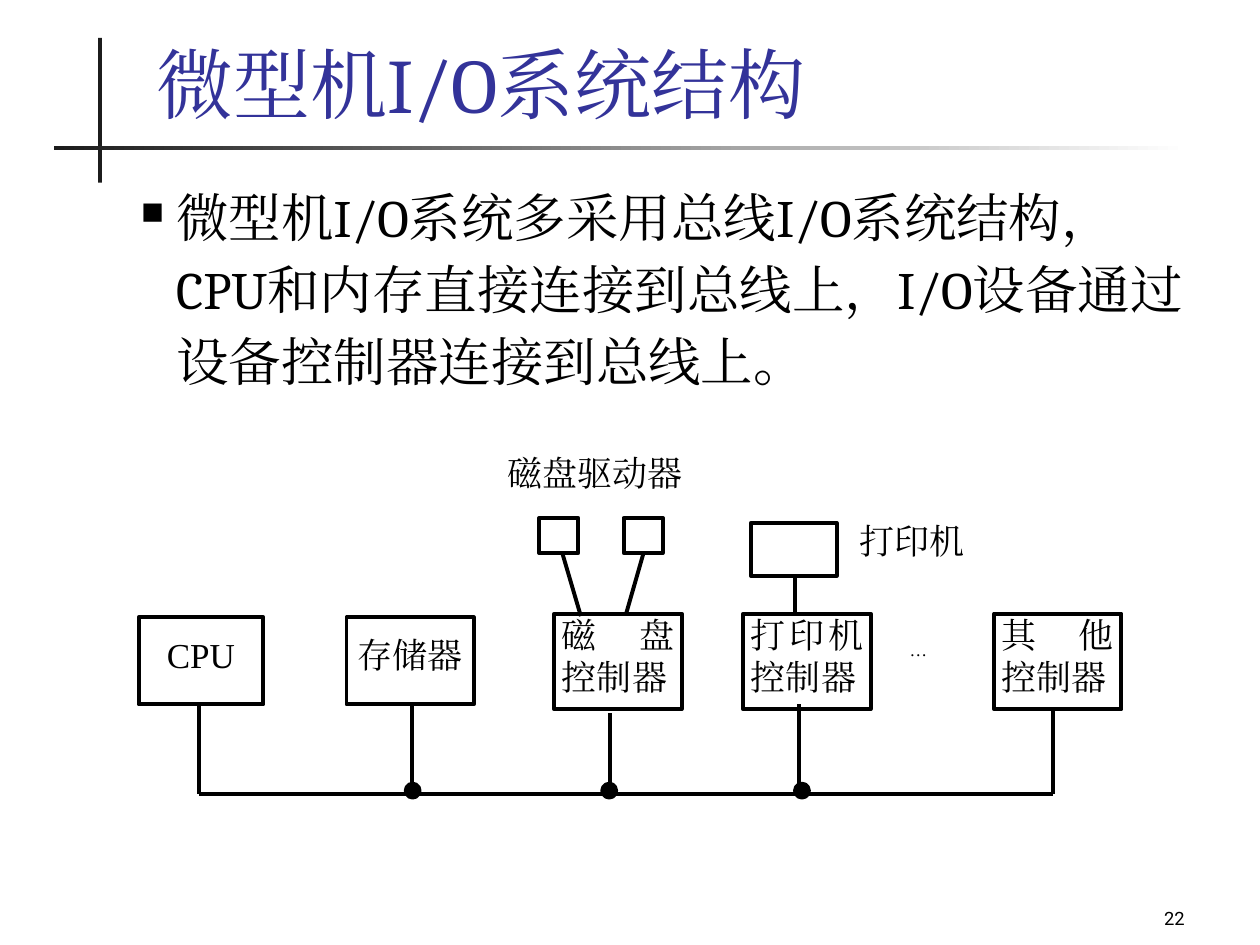
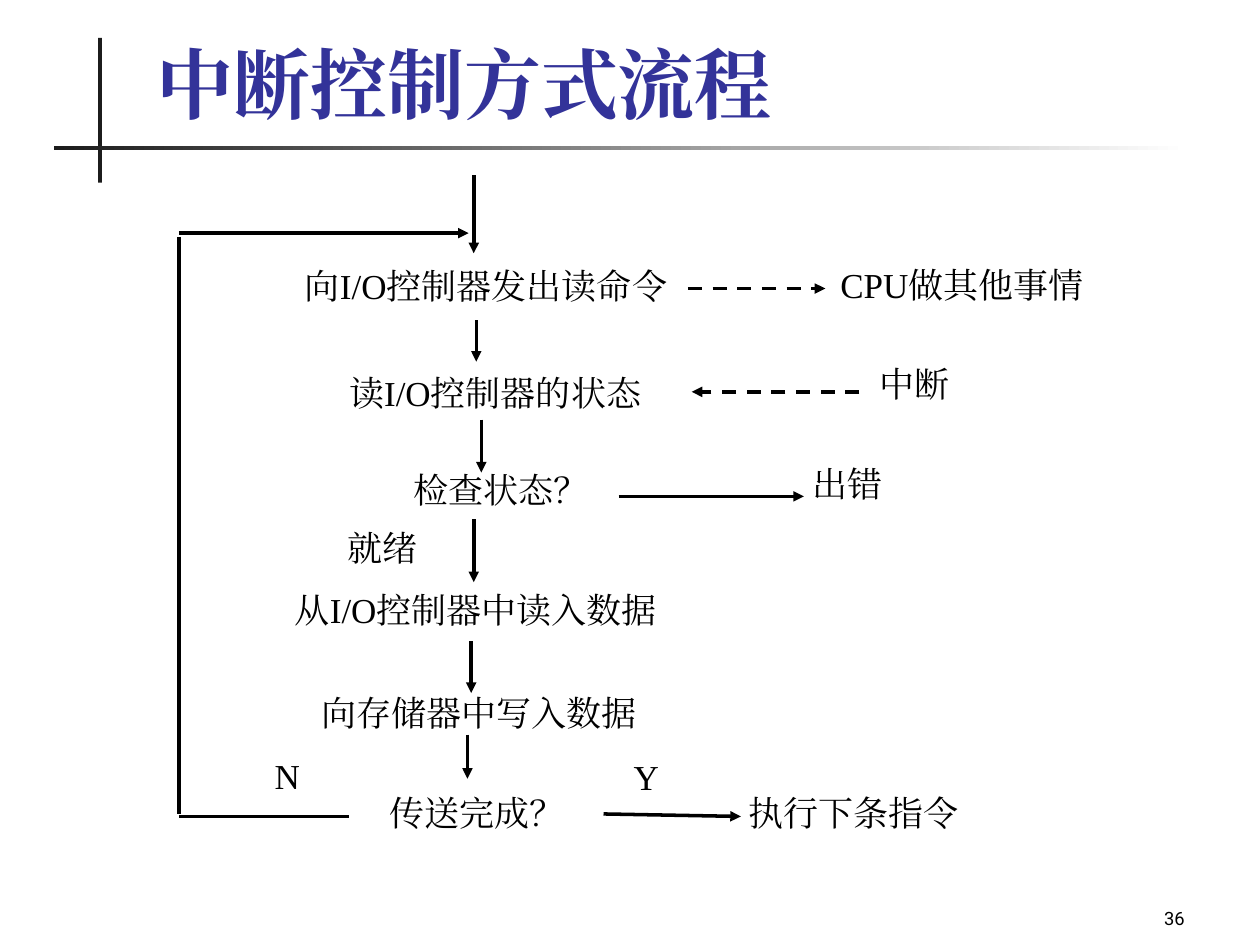
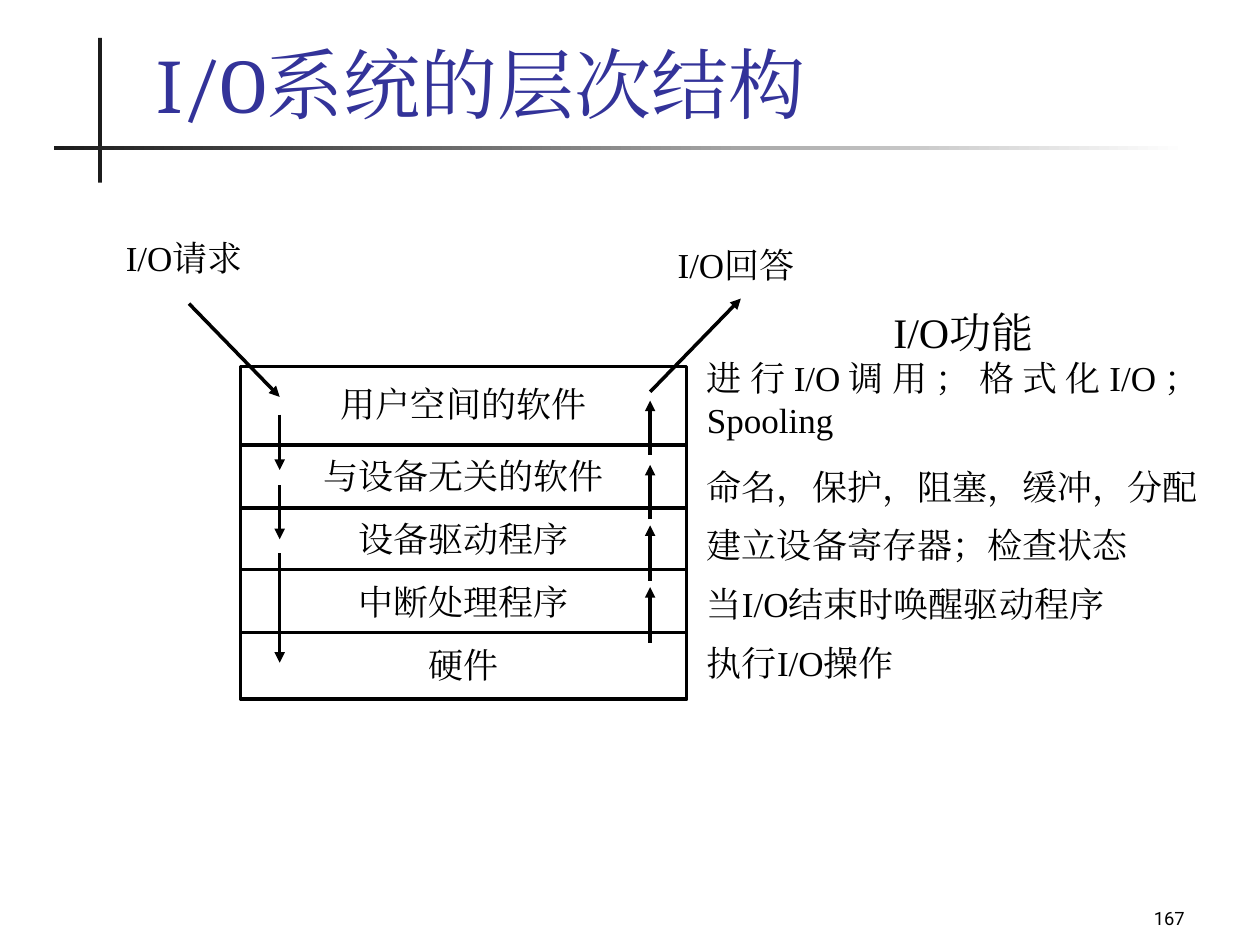
from lxml.etree import SubElement
from pptx import Presentation
from pptx.dml.color import RGBColor
from pptx.enum.dml import MSO_LINE
from pptx.enum.shapes import MSO_CONNECTOR, MSO_SHAPE
from pptx.enum.text import MSO_ANCHOR, PP_ALIGN
from pptx.oxml.ns import qn
from pptx.util import Inches, Pt

BLACK = RGBColor(0x00, 0x00, 0x00)
WHITE = RGBColor(0xFF, 0xFF, 0xFF)
RULE_GRAY = RGBColor(0x1C, 0x1C, 0x1C)
TITLE_BLUE = RGBColor(0x33, 0x33, 0x99)
TITLE_FONT = "Cambria"
NUMBER_FONT = "Roboto"
DIAGRAM_FONT = "Times New Roman"
NO_INSETS = (0, 0, 0, 0)


def add_text(page, text, at, size=20, font=DIAGRAM_FONT, color=BLACK, bold=False,
             align=PP_ALIGN.JUSTIFY, anchor=MSO_ANCHOR.TOP, insets=NO_INSETS,
             outline=None, gaps=(), indents=(), sizes=(), bullet=None, line_spacing=None):
    """Each line of text is a paragraph; gaps, indents and sizes hold one value per paragraph.

    With an outline width the box becomes a white rectangle.
    """
    place = [Inches(length) for length in at]
    if outline:
        box = page.shapes.add_shape(MSO_SHAPE.RECTANGLE, *place)
        box.shadow.inherit = False
        box.fill.solid()
        box.fill.fore_color.rgb = WHITE
        box.line.color.rgb = BLACK
        box.line.width = Pt(outline)
    else:
        box = page.shapes.add_textbox(*place)
    frame = box.text_frame
    frame.word_wrap = True
    frame.vertical_anchor = anchor
    (frame.margin_left, frame.margin_top,
     frame.margin_right, frame.margin_bottom) = [Inches(inset) for inset in insets]
    frame.text = text
    for index, para in enumerate(frame.paragraphs):
        para.alignment = align
        if line_spacing:
            para.line_spacing = line_spacing
        if gaps and gaps[index]:
            para.space_before = Pt(gaps[index])
        properties = para._p.get_or_add_pPr()
        if indents:
            properties.set("marL", str(Inches(indents[index])))
        if bullet:
            properties.set("indent", str(-Inches(indents[index])))
            SubElement(properties, qn("a:buSzPct"), val="60000")
            SubElement(properties, qn("a:buChar"), char=bullet)
        for span in para.runs:
            span.font.size = Pt(sizes[index] if sizes else size)
            span.font.name = font
            span.font.bold = bold
            span.font.color.rgb = color
            SubElement(span._r.get_or_add_rPr(), qn("a:ea"), typeface=font)
    return box


def add_line(page, start, end, width=2, arrow=False, dashed=False):
    line = page.shapes.add_connector(
        MSO_CONNECTOR.STRAIGHT, *[Inches(length) for length in (*start, *end)])
    line.line.color.rgb = BLACK
    line.line.width = Pt(width)
    if dashed:
        line.line.dash_style = MSO_LINE.DASH
    if arrow:
        SubElement(line.line._get_or_add_ln(), qn("a:tailEnd"), type="triangle")
    SubElement(line._element.spPr, qn("a:effectLst"))


deck = Presentation()
deck.slide_width = Inches(10)
deck.slide_height = Inches(7.5)

# Title, crossed rules and page number on every slide
pages = []
for title, number, bold in [("微型机I/O系统结构", "22", False),
                            ("中断控制方式流程", "36", True),
                            ("I/O系统的层次结构", "167", False)]:
    page = deck.slides.add_slide(deck.slide_layouts[6])
    for at in [(0.78, 0.3, 0.03, 1.15), (0.43, 1.16, 9, 0.03)]:
        rule = page.shapes.add_shape(MSO_SHAPE.RECTANGLE, *[Inches(length) for length in at])
        rule.shadow.inherit = False
        rule.line.fill.background()
        rule.fill.solid()
        rule.fill.fore_color.rgb = RULE_GRAY
    rule.fill.gradient()
    rule.fill.gradient_angle = 0
    for stop, color in zip(rule.fill.gradient_stops, (RULE_GRAY, WHITE)):
        stop.color.rgb = color
    add_text(page, title, (1.14, 0.25, 8.59, 0.82), size=44, font=TITLE_FONT,
             color=TITLE_BLUE, bold=bold, align=PP_ALIGN.LEFT,
             anchor=MSO_ANCHOR.BOTTOM, insets=(0.1, 0.05, 0.1, 0.05))
    add_text(page, number, (7.42, 6.92, 2.08, 0.5), size=10.5, font=NUMBER_FONT,
             align=PP_ALIGN.RIGHT, anchor=MSO_ANCHOR.BOTTOM, insets=(0.1, 0.05, 0.1, 0.05))
    pages.append(page)
bus_page, interrupt_page, layer_page = pages

# Slide 1: devices on a shared bus
add_text(bus_page,
         "微型机I/O系统多采用总线I/O系统结构，CPU和内存直接连接到总线上，I/O设备通过设备控制器连接到总线上。",
         (1.02, 1.35, 8.5, 5.35), size=30, font=TITLE_FONT, align=PP_ALIGN.LEFT,
         insets=(0.1, 0.05, 0.1, 0.05), indents=[0.28], bullet="■", line_spacing=1.14)
add_text(bus_page, "磁盘驱动器", (4.03, 3.58, 1.47, 0.42))
add_text(bus_page, "打印机", (6.82, 4.12, 0.93, 0.38))
add_text(bus_page, "…", (7.12, 5.02, 0.59, 0.57), size=10, insets=(0.1, 0.05, 0.1, 0.05))
for name, left, width in [("CPU", 1.1, 0.99), ("存储器", 2.75, 1.01)]:
    add_text(bus_page, name, (left, 4.9, width, 0.69), align=PP_ALIGN.CENTER,
             insets=(0.02, 0.13, 0.02, 0.05), outline=2.25)
for name, left in [("磁 盘控制器", 4.4), ("打印机控制器", 5.9), ("其 他控制器", 7.89)]:
    add_text(bus_page, name, (left, 4.87, 1.01, 0.76), insets=(0.06, 0, 0.06, 0), outline=2.25)
for device in [(4.28, 4.11, 0.31, 0.28), (4.95, 4.11, 0.31, 0.28), (5.96, 4.15, 0.68, 0.42)]:
    add_text(bus_page, "", device, outline=2.25)
for start, end in [((4.46, 4.38), (4.61, 4.89)), ((5.11, 4.38), (4.97, 4.87)),
                   ((6.31, 4.56), (6.31, 4.87))]:
    add_line(bus_page, start, end, width=2.25)

BUS_TOP = 6.3
add_line(bus_page, (1.58, BUS_TOP), (8.36, BUS_TOP), width=2.25)
for x, top in [(1.58, 5.6), (3.27, 5.58), (4.84, 5.66), (6.34, 5.59), (8.36, 5.64)]:
    add_line(bus_page, (x, top), (x, BUS_TOP), width=2.25)
for left in (3.22, 4.78, 6.31):
    joint = bus_page.shapes.add_shape(MSO_SHAPE.OVAL, Inches(left), Inches(6.22),
                                      Inches(0.11), Inches(0.11))
    joint.shadow.inherit = False
    joint.fill.solid()
    joint.fill.fore_color.rgb = BLACK
    joint.line.color.rgb = BLACK
    joint.line.width = Pt(2.25)

# Slide 2: interrupt-driven flow
for step, at in [
    ("向I/O控制器发出读命令", (2.42, 2.1, 3.16, 0.39)),
    ("读I/O控制器的状态", (2.77, 2.95, 2.82, 0.4)),
    ("检查状态？", (3.28, 3.72, 1.64, 0.41)),
    ("就绪", (2.76, 4.18, 0.84, 0.44)),
    ("从I/O控制器中读入数据", (2.34, 4.67, 3.16, 0.44)),
    ("向存储器中写入数据", (2.55, 5.49, 2.7, 0.5)),
    ("传送完成？", (3.09, 6.28, 1.5, 0.39)),
    ("N", (2.18, 5.99, 0.43, 0.51)),
    ("Y", (5.03, 6, 0.43, 0.47)),
    ("CPU做其他事情", (6.67, 2.09, 2.83, 0.4)),
    ("中断", (6.98, 2.88, 0.88, 0.47)),
    ("出错", (6.45, 3.67, 0.98, 0.47)),
    ("执行下条指令", (5.94, 6.28, 2.38, 0.29)),
]:
    add_text(interrupt_page, step, at)
for x, top, bottom in [(3.76, 1.39, 2.01), (3.78, 2.54, 2.87), (3.82, 3.33, 3.75),
                       (3.76, 4.12, 4.62), (3.74, 5.09, 5.5), (3.71, 5.83, 6.18)]:
    add_line(interrupt_page, (x, top), (x, bottom), arrow=True)
for start, end, dashed in [((5.46, 2.29), (6.55, 2.29), True),
                           ((6.82, 3.11), (5.49, 3.11), True),
                           ((4.91, 3.94), (6.38, 3.94), False),
                           ((4.79, 6.46), (5.88, 6.48), False),
                           ((1.42, 1.85), (3.72, 1.85), False)]:
    add_line(interrupt_page, start, end, arrow=True, dashed=dashed)
add_line(interrupt_page, (2.77, 6.48), (1.42, 6.48))
add_line(interrupt_page, (1.42, 1.88), (1.42, 6.46))

# Slide 3: software layers and their functions
add_text(layer_page, "用户空间的软件\n与设备无关的软件\n设备驱动程序\n中断处理程序\n硬件",
         (1.91, 2.91, 3.54, 2.64), align=PP_ALIGN.CENTER, insets=(0.1, 0.13, 0.1, 0.05),
         outline=2, gaps=[0, 17, 12, 12, 12])
for y in (3.53, 4.03, 4.52, 5.02):
    add_line(layer_page, (1.91, y), (5.45, y))

REQUEST_X, REPLY_X = 2.22, 5.16
add_line(layer_page, (1.5, 2.41), (REQUEST_X, 3.15), arrow=True)
add_line(layer_page, (REPLY_X, 3.11), (5.88, 2.37), arrow=True)
for top, bottom in [(3.29, 3.73), (3.85, 4.28), (4.39, 5.26)]:
    add_line(layer_page, (REQUEST_X, top), (REQUEST_X, bottom), arrow=True)
for top, bottom in [(3.18, 3.61), (3.69, 4.12), (4.17, 4.61), (4.66, 5.1)]:
    add_line(layer_page, (REPLY_X, bottom), (REPLY_X, top), arrow=True)

for label, left, top in [("I/O请求", 0.9, 1.83), ("I/O回答", 5.28, 1.88)]:
    add_text(layer_page, label, (left, top, 1.26, 0.39), insets=(0.1, 0.05, 0.1, 0.05))
add_text(layer_page,
         "I/O功能\n进行I/O调用；格式化I/O；Spooling\n命名，保护，阻塞，缓冲，分配\n"
         "建立设备寄存器；检查状态\n当I/O结束时唤醒驱动程序\n执行I/O操作",
         (5.59, 2.42, 3.95, 2.95), insets=(0.02, 0.01, 0.02, 0.01),
         gaps=[0, 0, 14, 9.6, 9.6, 9.6], indents=[1.48, 0, 0, 0, 0, 0],
         sizes=[24, 20, 20, 20, 20, 20])

deck.save("out.pptx")
